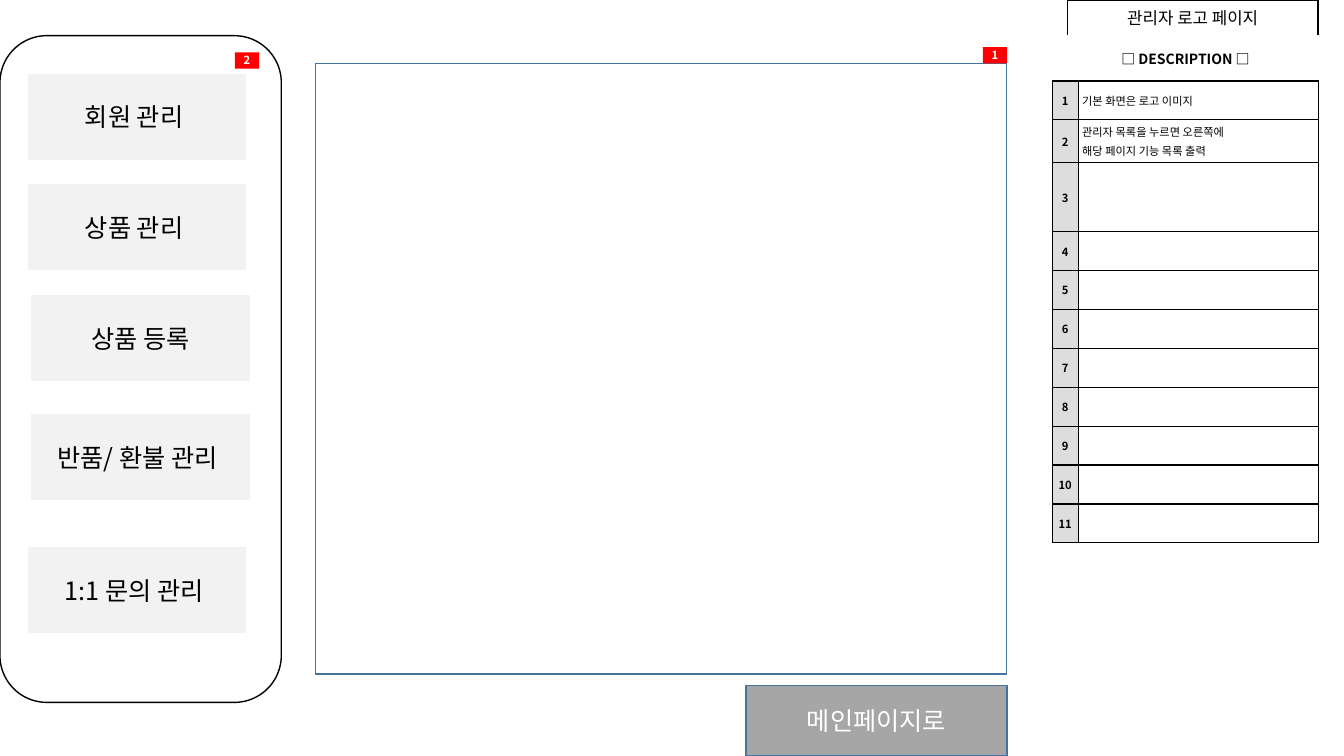
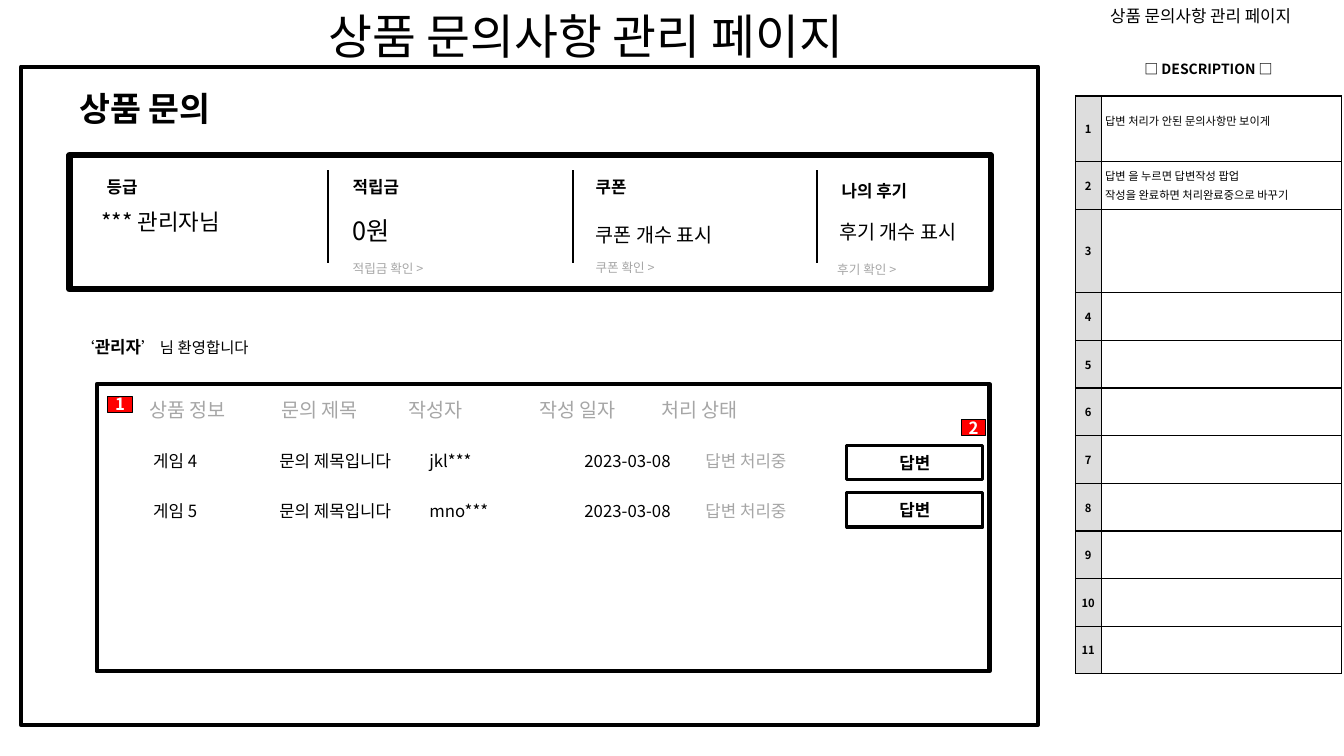
import pptx
import pptx.dml.color
import pptx.enum.shapes
import pptx.enum.text
import pptx.oxml
import pptx.oxml.ns
import pptx.util
from lxml import etree

Cm, Pt = pptx.util.Cm, pptx.util.Pt
qn = pptx.oxml.ns.qn
SHAPE = pptx.enum.shapes.MSO_SHAPE
ALIGN = pptx.enum.text.PP_ALIGN
MIDDLE = pptx.enum.text.MSO_ANCHOR.MIDDLE
TOP = pptx.enum.text.MSO_ANCHOR.TOP

FONT = "Noto Sans CJK KR"
COLORS = {
    "white": "FFFFFF",
    "black": "000000",
    "menu": "F2F2F2",
    "gray": "A6A6A6",
    "number": "DDDDDD",
    "blue": "43739E",
    "red": "FF0000",
}


def rgb(color):
    return pptx.dml.color.RGBColor.from_string(COLORS[color])


# Text
def format_run(run, size, color="black", bold=False):
    run.font.size = Pt(size)
    run.font.bold = bold
    run.font.name = FONT
    run.font.color.rgb = rgb(color)
    etree.SubElement(run._r.get_or_add_rPr(), qn("a:ea"), typeface=FONT)


def write(frame, text, size, color="black", bold=False, align=ALIGN.LEFT, space_before=0):
    frame.text = text
    for paragraph in frame.paragraphs:
        paragraph.alignment = align
        paragraph.space_before = Pt(space_before)
        for run in paragraph.runs:
            format_run(run, size, color, bold)


def add_label(slide, left, top, width, height, text, size, color="black",
              bold=False, align=ALIGN.LEFT, anchor=TOP):
    label = slide.shapes.add_textbox(Cm(left), Cm(top), Cm(width), Cm(height))
    label.text_frame.word_wrap = True
    label.text_frame.vertical_anchor = anchor
    write(label.text_frame, text, size, color, bold, align)
    return label.text_frame.paragraphs[0]


def append_run(paragraph, text, size, color="black", bold=False):
    run = paragraph.add_run()
    run.text = text
    format_run(run, size, color, bold)


def set_tabs(paragraph, stops):
    tab_list = etree.SubElement(paragraph._p.get_or_add_pPr(), qn("a:tabLst"))
    for stop in stops:
        etree.SubElement(tab_list, qn("a:tab"), pos=str(Cm(stop)), algn="l")


# Boxes and lines
def add_box(slide, left, top, width, height, fill=None, line=None, weight=1,
            kind=SHAPE.RECTANGLE):
    box = slide.shapes.add_shape(kind, Cm(left), Cm(top), Cm(width), Cm(height))
    box.shadow.inherit = False
    if fill:
        box.fill.solid()
        box.fill.fore_color.rgb = rgb(fill)
    else:
        box.fill.background()
    if line:
        box.line.color.rgb = rgb(line)
        box.line.width = Pt(weight)
    else:
        box.line.fill.background()
    return box


def caption(box, text, size, color="black", bold=False, wrap=True):
    box.text_frame.word_wrap = wrap
    box.text_frame.vertical_anchor = MIDDLE
    write(box.text_frame, text, size, color, bold, ALIGN.CENTER)


def add_badge(slide, left, top, number, size, line=None):
    badge = add_box(slide, left, top, 0.61, 0.41, "red", line, 0.75)
    caption(badge, number, size, "white", True, wrap=False)


def add_divider(slide, x, top, bottom):
    divider = slide.shapes.add_connector(
        pptx.enum.shapes.MSO_CONNECTOR.STRAIGHT, Cm(x), Cm(top), Cm(x), Cm(bottom))
    divider.line.color.rgb = rgb("black")
    divider.line.width = Pt(1.5)
    etree.SubElement(divider._element.spPr, qn("a:effectLst"))


# Description table
def border(cell, sides):
    for side in sides:
        edge = etree.SubElement(cell._tc.get_or_add_tcPr(), qn("a:ln" + side), w=str(Pt(1)))
        paint = etree.SubElement(edge, qn("a:solidFill"))
        etree.SubElement(paint, qn("a:srgbClr"), val=COLORS["black"])


def fill_cell(cell, text, size, fill, bold, align, sides):
    cell.margin_left = cell.margin_right = Cm(0.1)
    cell.margin_top = cell.margin_bottom = Cm(0.1)
    cell.vertical_anchor = MIDDLE
    border(cell, sides)
    cell.fill.solid()
    cell.fill.fore_color.rgb = rgb(fill)
    if text:
        write(cell.text_frame, text, size, "black", bold, align, size * 0.2)
    else:
        etree.SubElement(cell.text_frame.paragraphs[0]._p, qn("a:endParaRPr"),
                         sz=str(size * 100))


def add_description(slide, left, top, heights, notes):
    widths = (0.65, 6.06)
    table = slide.shapes.add_table(len(heights), 2, Cm(left), Cm(top),
                                   Cm(sum(widths)), Cm(sum(heights))).table
    table.first_row = table.horz_banding = False
    for column, width in zip(table.columns, widths):
        column.width = Cm(width)
    for row, height in zip(table.rows, heights):
        row.height = Cm(height)
    table.cell(0, 0).merge(table.cell(0, 1))
    for column, heading in enumerate(("□ DESCRIPTION □", "")):
        fill_cell(table.cell(0, column), heading, 10, "white", True, ALIGN.CENTER, "B")
    for number in range(1, len(heights)):
        fill_cell(table.cell(number, 0), str(number), 8, "number", True,
                  ALIGN.CENTER, "LRTB")
        fill_cell(table.cell(number, 1), notes.get(number, ""), 8, "white", False,
                  ALIGN.LEFT, "LRTB")
    return table


# Slides
def build_admin_home(slide):
    add_box(slide, 0, 0.9, 7.09, 16.8, "white", "black", kind=SHAPE.ROUNDED_RECTANGLE)
    menu = (
        (0.68, 1.84, "회원 관리 "),
        (0.68, 4.63, "상품 관리 "),
        (0.77, 7.42, "상품 등록"),
        (0.77, 10.42, "반품/ 환불 관리 "),
        (0.68, 13.77, "1:1 문의 관리 "),
    )
    for left, top, entry in menu:
        caption(add_box(slide, left, top, 5.54, 2.2, "menu", "white"), entry, 18)

    # Content area and way back
    add_box(slide, 7.95, 1.6, 17.42, 15.39, line="blue")
    main_page = add_box(slide, 18.8, 17.27, 6.58, 1.78, "gray", "blue")
    caption(main_page, "메인페이지로", 18, "white")
    add_badge(slide, 24.77, 1.19, "1", 8)
    add_badge(slide, 5.92, 1.32, "2", 8)

    # Page name and description
    caption(add_box(slide, 26.9, 0, 6.32, 0.9, line="black"), "관리자 로고 페이지", 12)
    add_description(slide, 26.52, 0.9, [1.14, 0.98, 0.98, 1.74] + [0.98] * 8, {
        1: "기본 화면은 로고 이미지",
        2: "관리자 목록을 누르면 오른쪽에\n해당 페이지 기능 목록 출력",
    })


def build_inquiries(slide):
    page_name = "상품 문의사항 관리 페이지"
    title = add_label(slide, 2.06, 0.41, 25.4, 1.32, page_name, 34.1,
                      align=ALIGN.CENTER, anchor=MIDDLE)
    title.line_spacing = 0.7
    add_box(slide, 0.53, 1.68, 25.63, 16.59, line="black", weight=3)
    add_label(slide, 1.75, 2.08, 4.24, 1.27, "상품 문의", 24, bold=True)

    # Member summary
    add_box(slide, 1.75, 3.91, 23.22, 3.38, line="black", weight=4.5)
    for x in (8.26, 14.45, 20.6):
        add_divider(slide, x, 4.29, 6.63)
    for left, top, name in ((2.44, 4.32, "등급"), (8.64, 4.32, "적립금"),
                            (14.76, 4.32, "쿠폰"), (20.96, 4.42, "나의 후기")):
        add_label(slide, left, top, 3.58, 0.76, name, 12, bold=True)
    for left, top, value, size in ((2.31, 5.13, "*** 관리자님 ", 16),
                                   (8.64, 5.31, "0원", 18),
                                   (14.76, 5.49, "쿠폰 개수 표시", 14),
                                   (20.9, 5.41, "후기 개수 표시", 14)):
        add_label(slide, left, top, 4.4, 0.9, value, size)
    for left, top, link in ((8.64, 6.45, "적립금 확인 >"), (14.76, 6.43, "쿠폰 확인 >"),
                            (20.85, 6.48, "후기 확인 >")):
        add_label(slide, left, top, 2.8, 0.64, link, 9, "gray")

    # Welcome line
    welcome = add_label(slide, 1.75, 8.36, 4.78, 0.76, "‘", 11)
    append_run(welcome, "관리자", 12, bold=True)
    append_run(welcome, "’ 님 환영합니다", 11)

    # Inquiry list
    add_box(slide, 2.44, 9.68, 22.5, 7.24, line="black", weight=3)
    headings = add_label(slide, 3.51, 9.91, 17.8, 0.86,
                         "상품 정보\t문의 제목\t작성자\t작성 일자\t처리 상태", 14, "gray")
    set_tabs(headings, (3.33, 6.53, 9.83, 12.9))
    for top, button_top, game, writer in ((11.23, 11.23, "게임 4", "jkl***"),
                                          (12.5, 12.42, "게임 5", "mno***")):
        inquiry = add_label(slide, 3.61, top, 17.7, 0.76,
                            f"{game}\t문의 제목입니다\t{writer}\t2023-03-08\t", 12)
        append_run(inquiry, "답변 처리중", 12, "gray")
        set_tabs(inquiry, (3.18, 6.96, 10.87, 13.92))
        answer = add_box(slide, 21.34, button_top, 3.43, 0.86, "white", "black", 2.25)
        caption(answer, "답변", 12, bold=True)
    add_badge(slide, 2.72, 9.98, "1", 12, "black")
    add_badge(slide, 24.23, 10.57, "2", 12, "black")

    # Page name and description
    add_label(slide, 27.1, -0.1, 6.32, 1.02, page_name, 12,
              align=ALIGN.CENTER, anchor=MIDDLE)
    description = add_description(slide, 27.1, 1.02, [1.4, 1.65, 1.2, 2.11] + [1.2] * 8, {
        1: "답변 처리가 안된 문의사항만 보이게",
        2: "답변 을 누르면 답변작성 팝업 \n작성을 완료하면 처리완료중으로 바꾸기",
    })
    description.cell(1, 1).margin_bottom = Cm(0.5)


def main():
    deck = pptx.Presentation()
    deck.slide_width, deck.slide_height = Cm(33.87), Cm(19.05)
    for build in (build_admin_home, build_inquiries):
        build(deck.slides.add_slide(deck.slide_layouts[6]))
    deck.save("out.pptx")


main()
